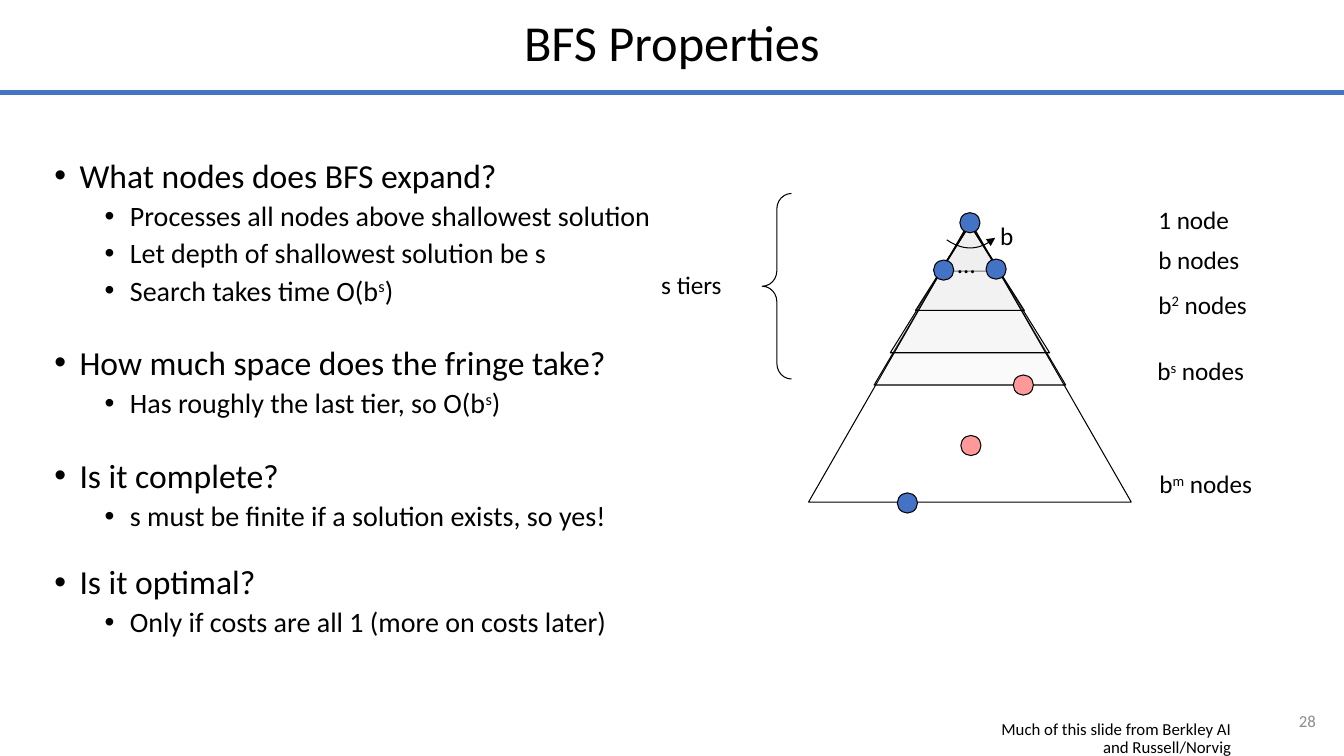
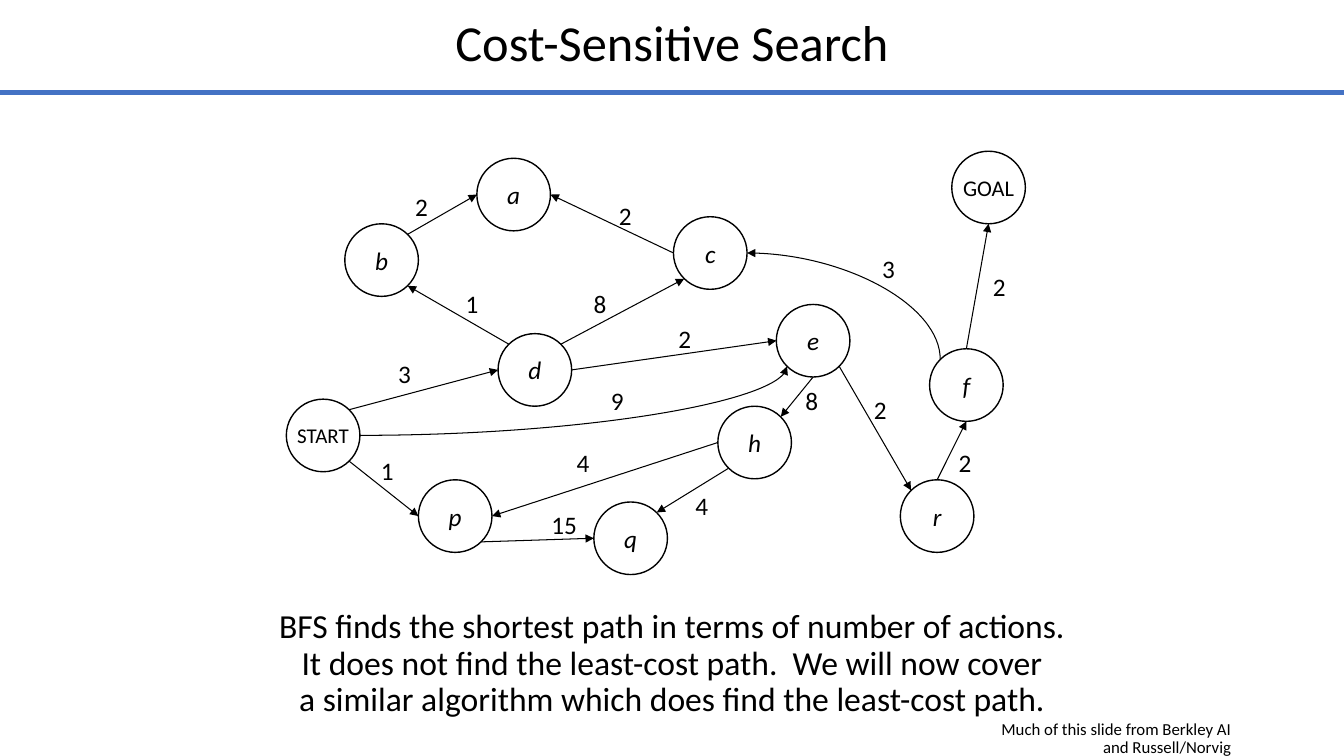
from dataclasses import dataclass

from lxml.etree import SubElement
from pptx import Presentation
from pptx.dml.color import RGBColor
from pptx.enum.shapes import MSO_CONNECTOR, MSO_SHAPE
from pptx.enum.text import MSO_ANCHOR, PP_ALIGN
from pptx.oxml.ns import qn
from pptx.util import Inches, Pt


@dataclass(frozen=True)
class Theme:
    font: str = "Calibri"
    ink: RGBColor = RGBColor(0x00, 0x00, 0x00)
    accent: RGBColor = RGBColor(0x44, 0x72, 0xC4)
    solution: RGBColor = RGBColor(0xFF, 0x99, 0x99)
    tier: RGBColor = RGBColor(0xE7, 0xE6, 0xE6)
    muted: RGBColor = RGBColor(0x8C, 0x8C, 0x8C)
    title: int = 36
    heading: int = 24
    point: int = 20
    label: int = 18
    goal: int = 16
    start: int = 15
    small: int = 12
    hairline: float = 0.75
    outline: float = 1
    rule: float = 3.75


THEME = Theme()
SLIDE_WIDTH, SLIDE_HEIGHT = 13.33, 7.5
CREDIT = "Much of this slide from Berkley AI and Russell/Norvig"

# Text between carets is raised; level 0 is a question, level 1 an answer.
# Each entry: level, space before, text
BFS_POINTS = [
    (0, 0, "What nodes does BFS expand?"),
    (1, 5, "Processes all nodes above shallowest solution"),
    (1, 5, "Let depth of shallowest solution be s"),
    (1, 5, "Search takes time O(b^s^)"),
    (0, 28, "How much space does the fringe take?"),
    (1, 5, "Has roughly the last tier, so O(b^s^)"),
    (0, 28, "Is it complete?"),
    (1, 5, "s must be finite if a solution exists, so yes!"),
    (0, 23.5, "Is it optimal?"),
    (1, 5, "Only if costs are all 1 (more on costs later)"),
]

# Positions below are relative to the top left of their diagram.
TIERS = [(0.33, 0.3, 0.79), (0.31, 0.95, 1.92),
         (0.33, 0.79, 1.6), (0.33, 0.54, 1.18)]  # apex, half width, base
TREE_NODES = [(3.06, 0.21), (2.8, 0.68), (3.32, 0.67), (2.44, 2.99)]
SOLUTIONS = [(3.59, 1.82), (3.07, 2.42)]
TREE_LABELS = [
    ("…", 2.94, 0.51, 0.3), ("b", 3.36, 0.24, 0.33), ("s tiers", 0, 0.72, 1.38),
    ("1 node", 4.93, 0.08, 1.6), ("b nodes", 4.93, 0.47, 1.6),
    ("b^2^ nodes", 4.93, 0.92, 1.6), ("b^s^ nodes", 4.92, 1.58, 1.6),
    ("b^m^ nodes", 4.94, 2.7, 1.6),
]

STATES = {
    "START": (0, 2.46), "GOAL": (6.6, 0), "d": (2.1, 1.81), "b": (0.58, 0.72),
    "p": (1.31, 3.26), "q": (3.05, 3.48), "c": (3.84, 0.65), "e": (4.86, 1.52),
    "h": (4.28, 2.53), "a": (1.89, 0.07), "f": (6.38, 1.96), "r": (6.09, 3.26),
}
# from, side, to, side, cost, position of the cost
STEPS = [
    ("START", "SE", "p", "W", 1, (0.84, 2.97)),
    ("p", "SE", "q", "W", 15, (2.53, 3.5)),
    ("h", "SW", "q", "NE", 4, (3.96, 3.32)),
    ("h", "W", "p", "E", 4, (2.78, 2.89)),
    ("e", "S", "h", "NE", 8, (5.05, 2.27)),
    ("e", "SE", "r", "NW", 2, (5.73, 2.36)),
    ("r", "N", "f", "S", 2, (6.57, 2.89)),
    ("f", "N", "GOAL", "S", 2, (6.91, 1.14)),
    ("START", "NE", "d", "W", 3, (1.01, 2.01)),
    ("d", "NW", "b", "SE", 1, (1.68, 1.31)),
    ("b", "NE", "a", "W", 2, (1.18, 0.35)),
    ("c", "W", "a", "E", 2, (3.2, 0.44)),
    ("d", "NE", "c", "SW", 8, (2.95, 1.31)),
    ("d", "E", "e", "W", 2, (3.79, 1.66)),
]
# A bend leaves its first state sideways; the arrow may sit at either end.
BENDS = [
    ("START", "E", "e", "SW", 9, (3.12, 2.27), "tailEnd"),
    ("c", "E", "f", "NW", 3, (5.81, 0.96), "headEnd"),
]
DIAGONAL = 0.71
COMPASS = {
    "N": (0, -1), "S": (0, 1), "W": (-1, 0), "E": (1, 0),
    "NW": (-DIAGONAL, -DIAGONAL), "NE": (DIAGONAL, -DIAGONAL),
    "SW": (-DIAGONAL, DIAGONAL), "SE": (DIAGONAL, DIAGONAL),
}
STATE_WIDTH, STATE_HEIGHT = 0.73, 0.72


def style_font(paragraph, size, color=THEME.ink, italic=False):
    font = paragraph.font
    font.name, font.size, font.italic = THEME.font, Pt(size), italic
    font.color.rgb = color


def write(paragraph, text):
    """Add runs, raising those between carets."""
    for index, part in enumerate(text.split("^")):
        run = paragraph.add_run()
        run.text = part
        if index % 2:
            run.font._element.set("baseline", "30000")


def add_text(slide, box, lines, size, align=PP_ALIGN.LEFT,
             anchor=MSO_ANCHOR.TOP, color=THEME.ink, spacing=None):
    frame = slide.shapes.add_textbox(*map(Inches, box)).text_frame
    frame.word_wrap, frame.vertical_anchor = True, anchor
    for index, line in enumerate(lines):
        paragraph = frame.add_paragraph() if index else frame.paragraphs[0]
        paragraph.alignment, paragraph.line_spacing = align, spacing
        write(paragraph, line)
        style_font(paragraph, size, color)


def add_outline(shape, fill=None, width=THEME.hairline):
    shape.shadow.inherit = False
    if fill is None:
        shape.fill.background()
    else:
        shape.fill.solid()
        shape.fill.fore_color.rgb = fill
    shape.line.color.rgb, shape.line.width = THEME.ink, Pt(width)


def add_arrowhead(shape, end="tailEnd"):
    SubElement(shape.line._get_or_add_ln(), qn(f"a:{end}"), type="triangle")


def add_line(slide, start, end, color=THEME.ink, width=THEME.hairline,
             kind=MSO_CONNECTOR.STRAIGHT):
    line = slide.shapes.add_connector(kind, *map(Inches, (*start, *end)))
    line.line.color.rgb, line.line.width = color, Pt(width)
    SubElement(line.element.spPr, qn("a:effectLst"))
    return line


def add_outline_through(slide, points, close=True):
    corners = [tuple(map(Inches, point)) for point in points]
    builder = slide.shapes.build_freeform(*corners[0])
    builder.add_line_segments(corners[1:], close=close)
    return builder.convert_to_shape()


def add_frame(prs, title):
    """Start a slide with its title, rule and credit."""
    slide = prs.slides.add_slide(prs.slide_layouts[6])
    add_text(slide, (0, -0.02, SLIDE_WIDTH, 0.94), [title], THEME.title,
             PP_ALIGN.CENTER, MSO_ANCHOR.MIDDLE, spacing=0.9)
    add_line(slide, (0, 0.92), (SLIDE_WIDTH, 0.92), THEME.accent, THEME.rule)
    add_text(slide, (9.62, 7.1, 2.69, 0.25), [CREDIT], THEME.small,
             PP_ALIGN.RIGHT, spacing=0.9)
    return slide


def add_points(slide, box, points):
    frame = slide.shapes.add_textbox(*map(Inches, box)).text_frame
    frame.word_wrap = True
    for index, (level, space, text) in enumerate(points):
        paragraph = frame.add_paragraph() if index else frame.paragraphs[0]
        paragraph.level = level
        paragraph.line_spacing, paragraph.space_before = 0.9, Pt(space)
        properties = paragraph._p.get_or_add_pPr()
        properties.set("marL", str(Inches(0.25 + 0.5 * level)))
        properties.set("indent", str(Inches(-0.25)))
        SubElement(properties, qn("a:buFont"), typeface="Arial")
        SubElement(properties, qn("a:buChar"), char="•")
        write(paragraph, text)
        style_font(paragraph, THEME.point if level else THEME.heading)


def add_search_tree(slide, left, top):
    def triangle(apex, half_width, base):
        return add_outline_through(slide, [
            (left + 3.16, top + apex),
            (left + 3.16 - half_width, top + base),
            (left + 3.16 + half_width, top + base)])

    for tier in TIERS:
        shade = triangle(*tier)
        add_outline(shade, THEME.tier)
        color = shade.fill._xPr.find(qn("a:solidFill"))[0]
        SubElement(color, qn("a:alpha"), val="20000")
    add_outline(triangle(0.29, 1.6, 3.08))

    for spots, fill in ((TREE_NODES, THEME.accent), (SOLUTIONS, THEME.solution)):
        for x, y in spots:
            node = slide.shapes.add_shape(
                MSO_SHAPE.OVAL, *map(Inches, (left + x, top + y, 0.2, 0.2)))
            add_outline(node, fill)

    add_branching_arc(slide, left, top)
    brace = slide.shapes.add_shape(
        MSO_SHAPE.LEFT_BRACE, *map(Inches, (left + 1.1, top + 0.02, 0.29, 1.84)))
    brace.adjustments[0] = 0.53
    add_outline(brace)
    for text, x, y, width in TREE_LABELS:
        add_text(slide, (left + x, top + y, width, 0.4), [text], THEME.label)


def add_branching_arc(slide, left, top, steps=16):
    start, control, end = (2.93, 0.48), (3.18, 0.65), (3.41, 0.46)

    def along(t):
        x, y = ((1 - t) ** 2 * a + 2 * t * (1 - t) * b + t ** 2 * c
                for a, b, c in zip(start, control, end))
        return left + x, top + y

    arc = add_outline_through(
        slide, [along(step / steps) for step in range(steps + 1)], close=False)
    add_outline(arc)
    add_arrowhead(arc)


def add_state_graph(slide, left, top):
    def rim(state, side):
        (x, y), (dx, dy) = STATES[state], COMPASS[side]
        return (left + x + STATE_WIDTH / 2 * (1 + dx),
                top + y + STATE_HEIGHT / 2 * (1 + dy))

    def add_cost(cost, x, y):
        width = 0.51 if cost > 9 else 0.34
        add_text(slide, (left + x, top + y, width, 0.4), [str(cost)], THEME.label)

    for name, (x, y) in STATES.items():
        state = slide.shapes.add_shape(
            MSO_SHAPE.FLOWCHART_CONNECTOR,
            *map(Inches, (left + x, top + y, STATE_WIDTH, STATE_HEIGHT)))
        add_outline(state, width=THEME.outline)
        frame = state.text_frame
        frame.word_wrap, frame.vertical_anchor = False, MSO_ANCHOR.MIDDLE
        paragraph = frame.paragraphs[0]
        paragraph.alignment = PP_ALIGN.CENTER
        write(paragraph, name)
        size = {"START": THEME.start, "GOAL": THEME.goal}.get(name, THEME.label)
        style_font(paragraph, size, italic=len(name) == 1)

    for source, exit_side, target, entry_side, cost, spot in STEPS:
        add_arrowhead(add_line(slide, rim(source, exit_side), rim(target, entry_side)))
        add_cost(cost, *spot)
    for first, first_side, second, second_side, cost, spot, head in BENDS:
        bend = add_line(slide, rim(first, first_side), rim(second, second_side),
                        kind=MSO_CONNECTOR.CURVE)
        bend.element.spPr.find(qn("a:prstGeom")).set("prst", "curvedConnector2")
        add_arrowhead(bend, head)
        add_cost(cost, *spot)


def add_bfs_slide(prs):
    slide = add_frame(prs, "BFS Properties")
    add_points(slide, (0.44, 1.53, 6.22, 5.17), BFS_POINTS)
    add_search_tree(slide, 6.46, 1.9)
    add_text(slide, (12.47, 6.95, 0.68, 0.4), ["28"], THEME.small,
             PP_ALIGN.RIGHT, MSO_ANCHOR.MIDDLE, THEME.muted)


def add_cost_slide(prs):
    slide = add_frame(prs, "Cost-Sensitive Search")
    add_state_graph(slide, 2.84, 1.5)
    add_text(slide, (0, 6, SLIDE_WIDTH, 1.34), [
        "BFS finds the shortest path in terms of number of actions.",
        "It does not find the least-cost path.  We will now cover",
        "a similar algorithm which does find the least-cost path.",
    ], THEME.heading, PP_ALIGN.CENTER, spacing=0.9)


def main():
    prs = Presentation()
    prs.slide_width, prs.slide_height = Inches(SLIDE_WIDTH), Inches(SLIDE_HEIGHT)
    add_bfs_slide(prs)
    add_cost_slide(prs)
    prs.save("out.pptx")


if __name__ == "__main__":
    main()
